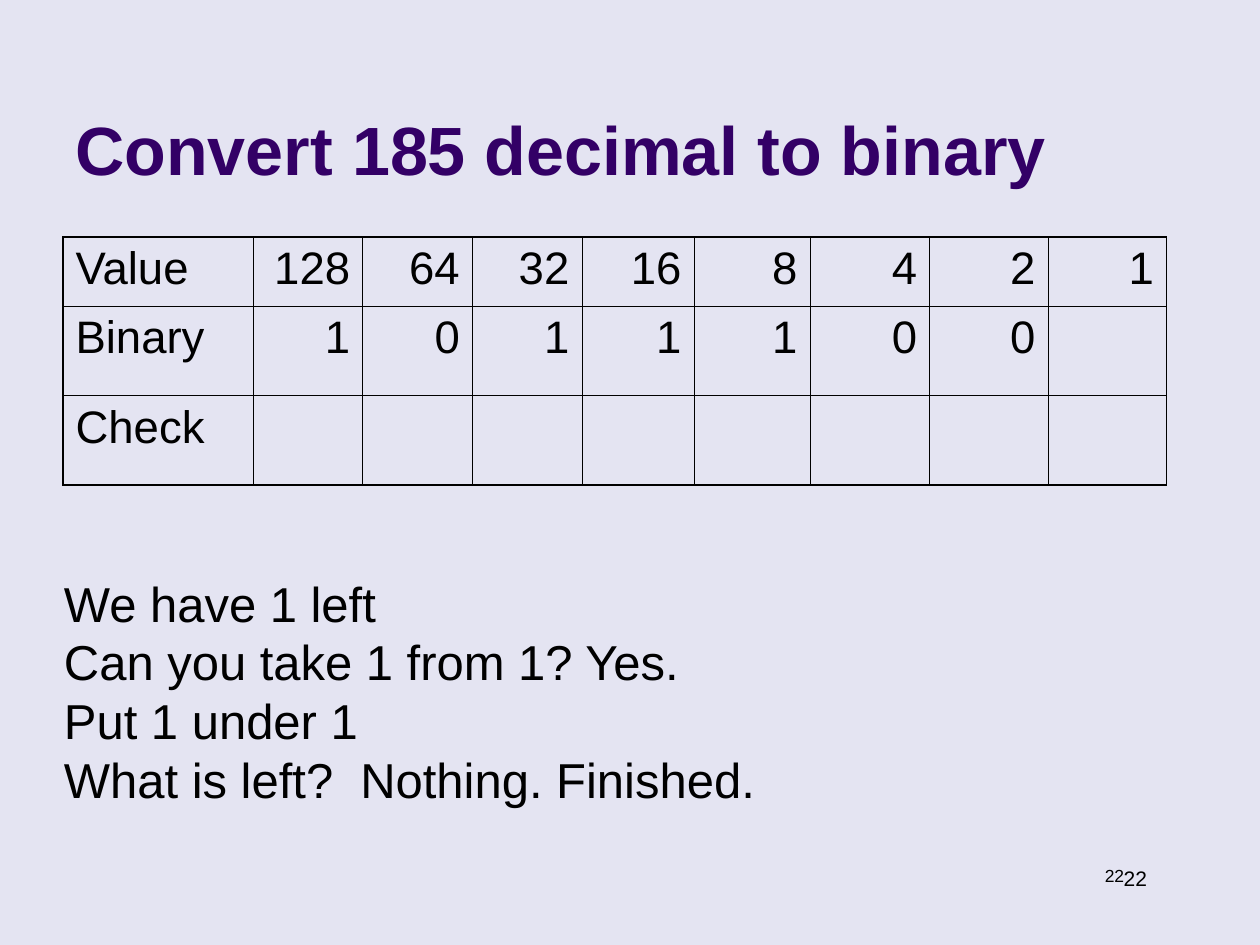
from dataclasses import dataclass

from lxml import etree
from pptx import Presentation
from pptx import util as u
from pptx.dml.color import RGBColor
from pptx.enum import text
from pptx.oxml import ns

COLOURS = {"background": "E4E4F2", "title": "330066", "ink": "000000"}
FONT = "Arial"
THIN, THICK = 0.45, 1.08  # border widths in points


@dataclass
class TextBlock:
    left: float
    top: float
    width: float
    height: float
    lines: list[str]
    size: float
    colour: str = "ink"
    bold: bool = False
    align: text.PP_ALIGN = text.PP_ALIGN.LEFT
    anchor: text.MSO_ANCHOR = text.MSO_ANCHOR.TOP
    wrap: bool = True


def rgb(name: str) -> RGBColor:
    return RGBColor.from_string(COLOURS[name])


def write(p, words: str, size: float, align, colour: str = "ink", bold: bool = False) -> None:
    p.alignment = align
    r = p.add_run()
    r.text = words
    for name, value in {"name": FONT, "size": u.Pt(size), "bold": bold}.items():
        setattr(r.font, name, value)
    r.font.color.rgb = rgb(colour)


def add_text(s, block: TextBlock) -> None:
    sp = s.shapes.add_textbox(u.Inches(block.left), u.Inches(block.top),
                              u.Inches(block.width), u.Inches(block.height))
    tf = sp.text_frame
    tf.word_wrap = block.wrap
    tf.vertical_anchor = block.anchor
    for i, line in enumerate(block.lines):
        p = tf.paragraphs[0] if i == 0 else tf.add_paragraph()
        write(p, line, block.size, block.align, block.colour, block.bold)


def set_borders(cell, widths: dict[str, float]) -> None:
    props = cell._tc.get_or_add_tcPr()
    for i, (side, width) in enumerate(widths.items()):
        ln = etree.Element(ns.qn(f"a:{side}"), w=str(u.Pt(width)))
        fill = etree.SubElement(ln, ns.qn("a:solidFill"))
        etree.SubElement(fill, ns.qn("a:srgbClr"), val=COLOURS["ink"])
        props.insert(i, ln)  # borders come before the fill


def add_place_value_table(s, left: float, top: float, columns: list[float],
                          heights: list[float], rows: list[list[str]]) -> None:
    frame = s.shapes.add_table(len(heights), len(columns), u.Inches(left), u.Inches(top),
                               u.Inches(sum(columns)), u.Inches(sum(heights)))
    table = frame.table
    table.first_row = table.horz_banding = False
    for column, width in zip(table.columns, columns):
        column.width = u.Inches(width)
    for row, height in zip(table.rows, heights):
        row.height = u.Inches(height)

    last_row, last_col = len(heights) - 1, len(columns) - 1
    for i, row in enumerate(rows):
        for j, words in enumerate(row):
            cell = table.cell(i, j)
            cell.fill.background()
            # The outer frame is heavier than the inner grid
            set_borders(cell, {
                "lnL": THICK if j == 0 else THIN,
                "lnR": THICK if j == last_col else THIN,
                "lnT": THICK if i == 0 else THIN,
                "lnB": THICK if i == last_row else THIN,
            })
            if words:
                align = text.PP_ALIGN.RIGHT if j else text.PP_ALIGN.LEFT
                write(cell.text_frame.paragraphs[0], words, 26, align)


def main() -> None:
    prs = Presentation()
    prs.slide_width, prs.slide_height = u.Inches(10), u.Inches(7.5)
    s = prs.slides.add_slide(prs.slide_layouts[6])
    s.background.fill.solid()
    s.background.fill.fore_color.rgb = rgb("background")

    # Page numbers
    add_text(s, TextBlock(6.97, 6.82, 2.05, 0.27, ["22"], 10, align=text.PP_ALIGN.RIGHT))
    add_text(s, TextBlock(8.82, 6.82, 0.96, 0.3, ["22"], 12, wrap=False))

    # Title
    add_text(s, TextBlock(0.5, 0.13, 8.25, 1.42, ["Convert 185 decimal to binary"], 39,
                          colour="title", bold=True, anchor=text.MSO_ANCHOR.BOTTOM))

    # Place values, the bits found so far and the check row
    bits = ["1", "0", "1", "1", "1", "0", "0", ""]
    add_place_value_table(
        s, 0.5, 1.88,
        columns=[1.51, 0.87, 0.87, 0.87, 0.89, 0.92, 0.95, 0.94, 0.94],
        heights=[0.55, 0.71, 0.71],
        rows=[["Value"] + [str(2 ** n) for n in range(7, -1, -1)],
              ["Binary"] + bits,
              ["Check"] + [""] * len(bits)])

    # Working
    add_text(s, TextBlock(0.41, 4.5, 8.37, 1.97, [
        "We have 1 left",
        "Can you take 1 from 1? Yes.",
        "Put 1 under 1",
        "What is left?  Nothing. Finished.",
    ], 28))

    prs.save("out.pptx")


if __name__ == "__main__":
    main()
